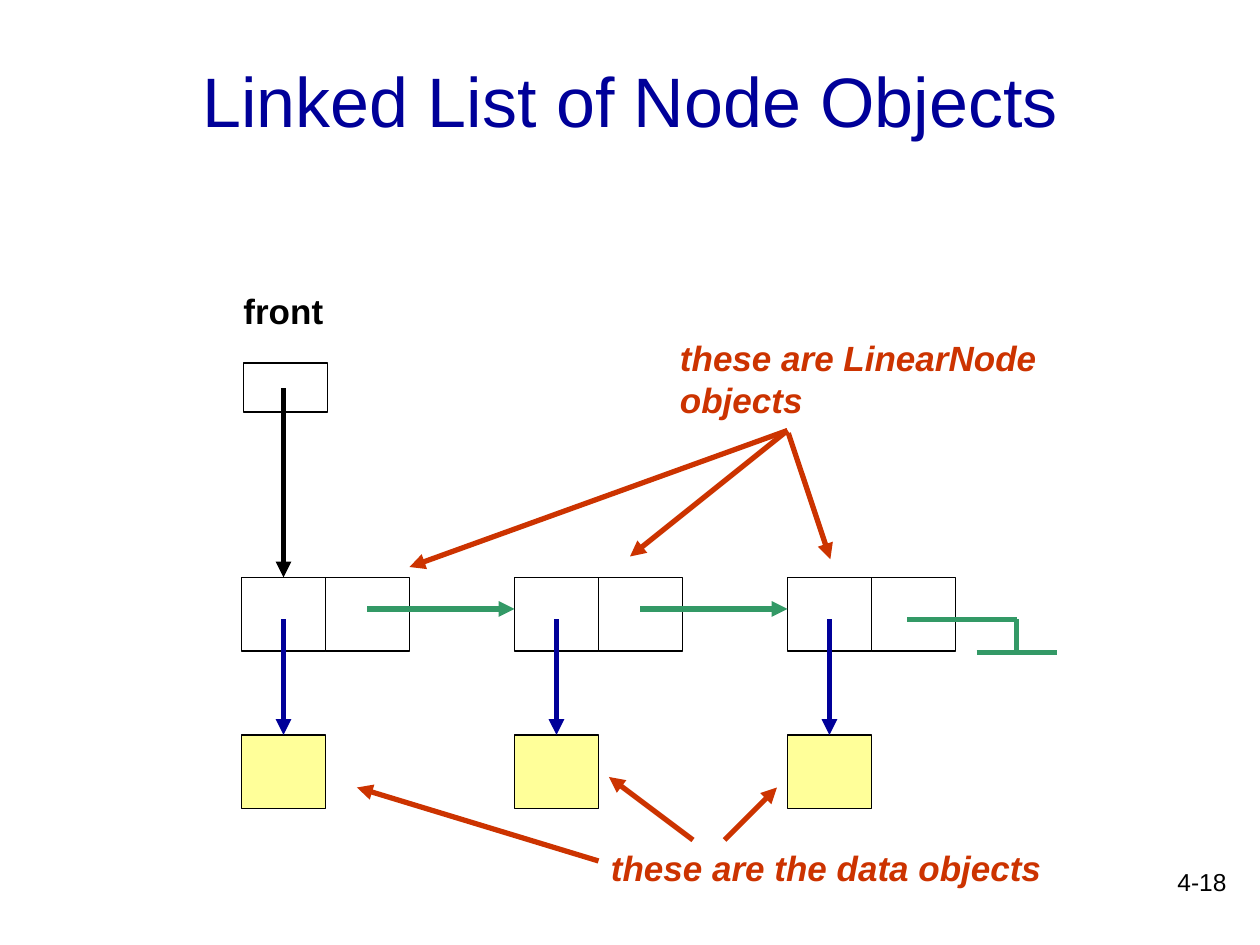
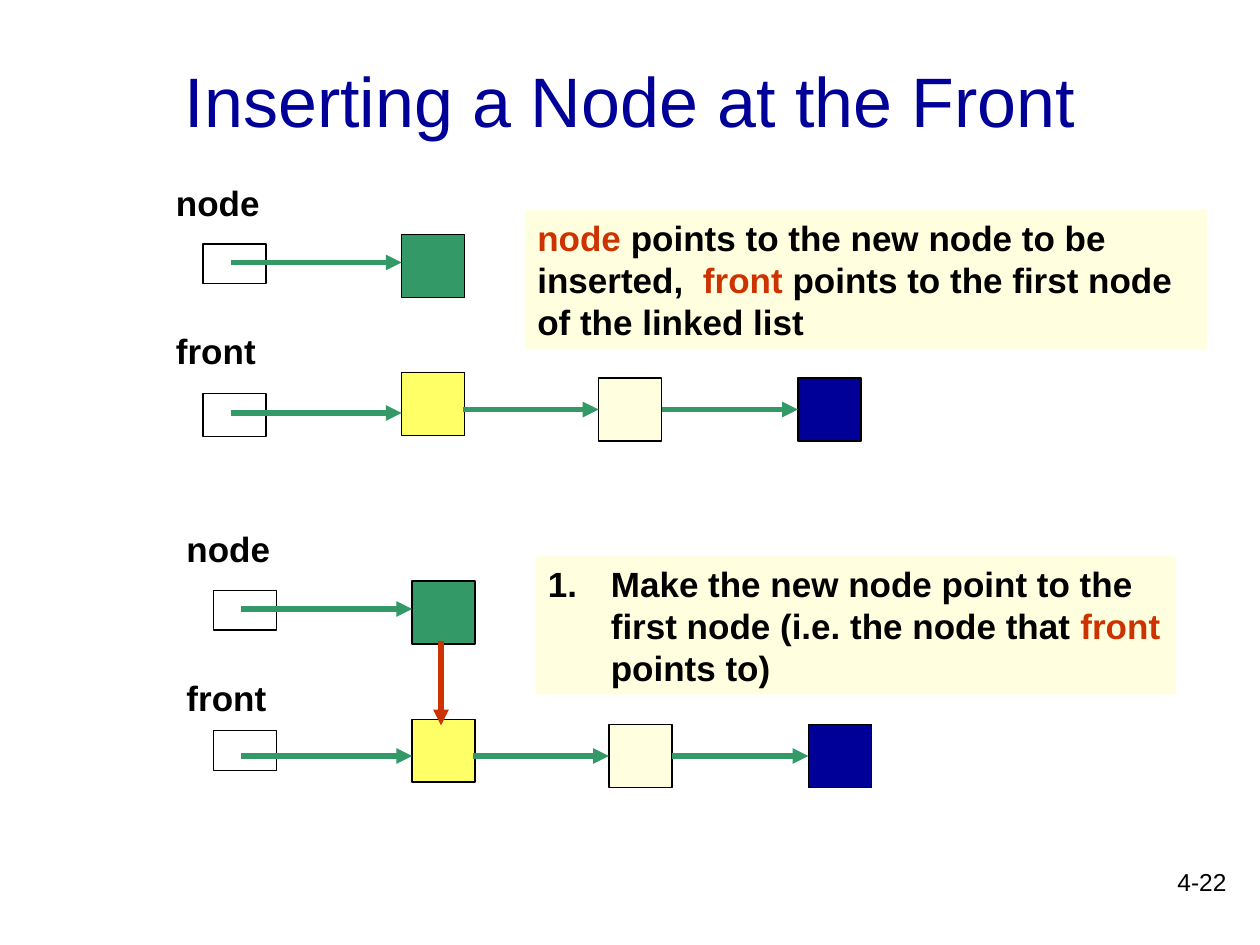
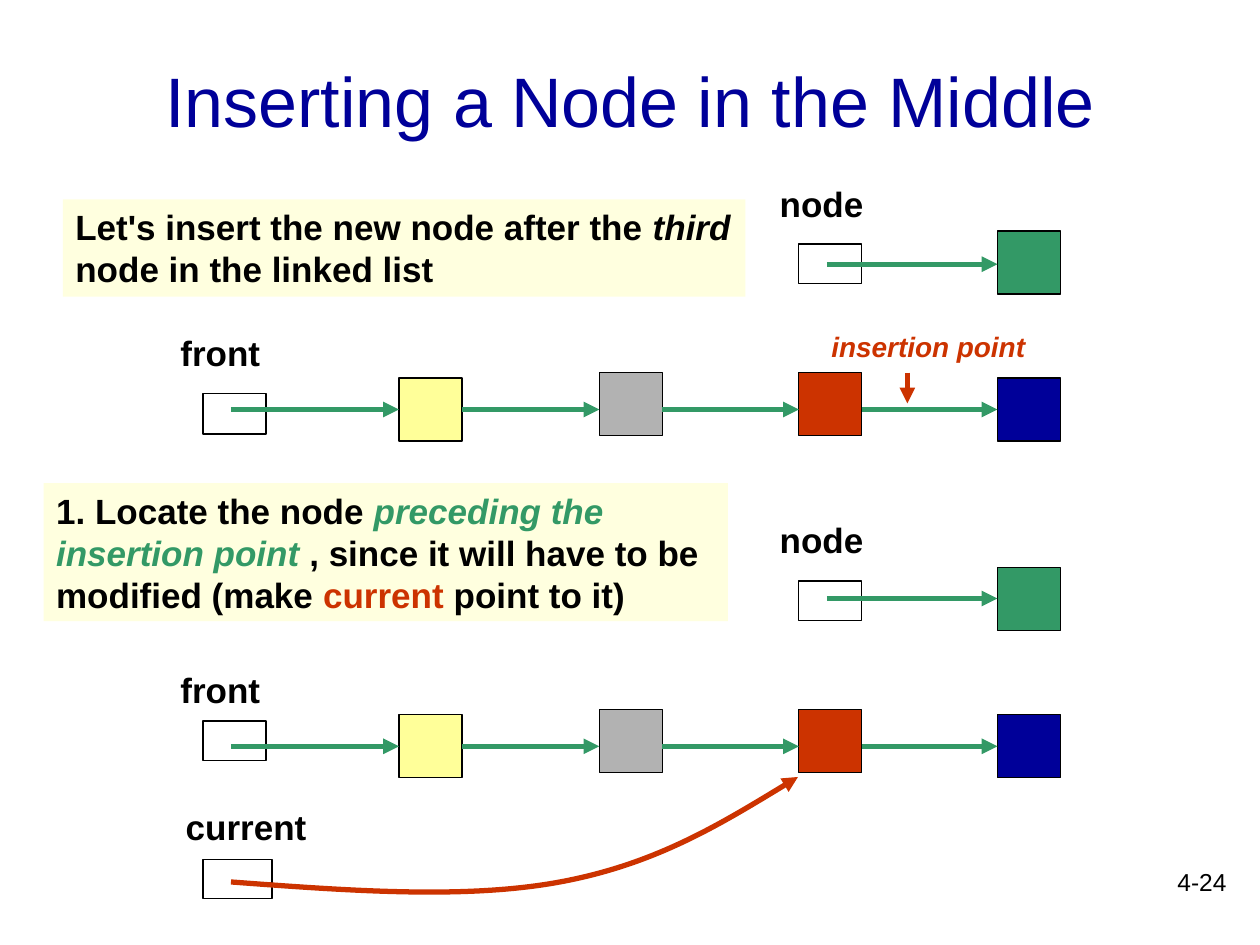
from dataclasses import dataclass
from typing import NamedTuple

from lxml.etree import SubElement
from pptx import Presentation
from pptx.dml.color import RGBColor
from pptx.enum.shapes import MSO_CONNECTOR, MSO_SHAPE
from pptx.enum.text import MSO_ANCHOR, PP_ALIGN
from pptx.oxml.ns import qn
from pptx.util import Pt


@dataclass(frozen=True)
class Theme:
    font: str = "Arial"
    title: float = 40
    body: float = 20
    small: float = 16
    foot: float = 14
    thin: float = 0.75
    thick: float = 3
    gap: float = 12.5
    black: str = "000000"
    navy: str = "000099"
    green: str = "339966"
    red: str = "CC3300"
    cream: str = "FFFFDF"
    lemon: str = "FFFF66"
    pale: str = "FFFF99"
    gray: str = "B2B2B2"


T = Theme()
SIDE = 36  # edge of a square node


class Span(NamedTuple):
    text: str
    color: str = T.black
    slant: bool = False


class Node(NamedTuple):
    x: float
    y: float
    fill: str


class Lane(NamedTuple):
    """A named pointer cell followed by the nodes it leads to."""
    name: str
    left: float   # label
    top: float
    x: float      # pointer cell
    y: float
    high: float
    wire: float   # height of the arrows
    nodes: list[Node]


# Text
def style(run, size: float, color: str, bold=False, slant=False) -> None:
    font = run.font
    font.name, font.size = T.font, Pt(size)
    font.bold, font.italic = bold, slant
    font.color.rgb = RGBColor.from_string(color)


def write(frame, spans: list[Span], size: float = T.body) -> None:
    frame.word_wrap = True
    frame.vertical_anchor = MSO_ANCHOR.TOP
    para = frame.paragraphs[0]
    para.alignment = PP_ALIGN.LEFT
    para.space_before = Pt(T.gap)
    for span in spans:
        run = para.add_run()
        run.text = span.text
        style(run, size, span.color, True, span.slant)


def label(slide, x: float, y: float, w: float, span: Span,
          h: float = 32, size: float = T.body) -> None:
    area = slide.shapes.add_textbox(Pt(x), Pt(y), Pt(w), Pt(h))
    write(area.text_frame, [span], size)


def count(para) -> None:
    """Number a paragraph, with a hanging indent."""
    props = para._p.get_or_add_pPr()
    props.set("marL", str(Pt(36)))
    props.set("indent", str(-Pt(36)))
    tint = SubElement(props, qn("a:buClr"))
    SubElement(tint, qn("a:srgbClr"), val=T.black)
    SubElement(props, qn("a:buFont"), typeface=T.font)
    SubElement(props, qn("a:buAutoNum"), type="arabicPeriod")


# Shapes and lines
def box(slide, x: float, y: float, w: float, h: float,
        fill: str | None = None, edge: bool = True):
    shape = slide.shapes.add_shape(
        MSO_SHAPE.RECTANGLE, Pt(x), Pt(y), Pt(w), Pt(h))
    shape.shadow.inherit = False
    if fill:
        shape.fill.solid()
        shape.fill.fore_color.rgb = RGBColor.from_string(fill)
    else:
        shape.fill.background()
    if edge:
        shape.line.width = Pt(T.thin)
        shape.line.color.rgb = RGBColor.from_string(T.black)
    else:
        shape.line.fill.background()
    return shape


def note(slide, x: float, y: float, w: float, h: float, spans: list[Span]):
    frame = box(slide, x, y, w, h, T.cream, edge=False).text_frame
    write(frame, spans)
    return frame.paragraphs[0]


def stroke(line, color: str, tip: bool = True) -> None:
    line.width = Pt(T.thick)
    line.color.rgb = RGBColor.from_string(color)
    if tip:
        SubElement(line._get_or_add_ln(), qn("a:tailEnd"), type="triangle")


def link(slide, x1: float, y1: float, x2: float, y2: float,
         color: str = T.green, tip: bool = True) -> None:
    wire = slide.shapes.add_connector(
        MSO_CONNECTOR.STRAIGHT, Pt(x1), Pt(y1), Pt(x2), Pt(y2))
    stroke(wire.line, color, tip)
    SubElement(wire._element.spPr, qn("a:effectLst"))


def curve(slide, dots: list[tuple[float, float]], color: str) -> None:
    """Draw Bezier arcs: a start, then three points for each arc."""
    ends = [(Pt(x), Pt(y)) for x, y in dots]
    pen = slide.shapes.build_freeform(*ends[0])
    pen.add_line_segments(ends[1:], close=False)
    shape = pen.convert_to_shape()
    shape.shadow.inherit = False
    shape.fill.background()
    stroke(shape.line, color)
    legs = list(shape._element.iter(qn("a:lnTo")))
    for i in range(0, len(legs), 3):
        trio = legs[i:i + 3]
        arc = SubElement(trio[0].getparent(), qn("a:cubicBezTo"))
        for leg in trio:
            arc.append(leg[0])
            leg.getparent().remove(leg)


def lane(slide, row: Lane) -> None:
    label(slide, row.left, row.top, 72, Span(row.name))
    box(slide, row.x, row.y, SIDE, row.high)
    for node in row.nodes:
        box(slide, node.x, node.y, SIDE, SIDE, node.fill)
    start = row.x + 16
    for node in row.nodes:
        link(slide, start, row.wire, node.x, row.wire)
        start = node.x + SIDE


def page(deck, title: str, number: str):
    slide = deck.slides.add_slide(deck.slide_layouts[5])
    head = slide.shapes.title
    head.left, head.top, head.width, head.height = (
        Pt(54), Pt(12), Pt(612), Pt(90))
    frame = head.text_frame
    frame.text = title
    frame.vertical_anchor = MSO_ANCHOR.MIDDLE
    frame.paragraphs[0].alignment = PP_ALIGN.CENTER
    style(frame.paragraphs[0].runs[0], T.title, T.navy)
    foot = slide.shapes.add_textbox(Pt(558), Pt(492), Pt(150), Pt(36))
    para = foot.text_frame.paragraphs[0]
    foot.text_frame.word_wrap = True
    para.text = number
    para.alignment = PP_ALIGN.RIGHT
    style(para.runs[0], T.foot, T.black)
    return slide


# Slides
def objects(deck) -> None:
    slide = page(deck, "Linked List of Node Objects", "4-18")
    wide, high, step = 48, 42, 156
    cols = [138 + step * i for i in range(3)]
    box(slide, 139, 207.5, wide, 28)
    for x in cols:
        box(slide, x, 420, wide, high, T.pale)
        box(slide, x, 330, wide, high)
        box(slide, x + wide, 330, wide, high)
    link(slide, 162, 222, 162, 330, T.black)
    for x in cols:
        link(slide, x + 24, 354, x + 24, 420, T.navy)
    for x in cols[:-1]:
        link(slide, x + 72, 348, x + step, 348)

    # End of the list
    for ends in ((518.5, 354, 581, 354), (581, 354, 581, 373),
                 (558, 373, 604, 373)):
        link(slide, *ends, tip=False)

    # Labels and their arrows
    label(slide, 132, 162, 84, Span("front"))
    label(slide, 381.5, 188.5, 244,
          Span("these are LinearNode objects", T.red, True), h=55)
    label(slide, 342, 480, 294,
          Span("these are the data objects", T.red, True))
    for ends in ((450, 246, 234, 324), (450, 246, 360, 318),
                 (450.5, 247.5, 474.5, 319.5), (414, 480, 444, 450),
                 (396, 480, 348, 444), (342, 492, 204, 450)):
        link(slide, *ends, T.red)


def front(deck) -> None:
    slide = page(deck, "Inserting a Node at the Front", "4-22")
    # Before and after: shift, front cell top and height, arrow height
    for dx, dy, top, high, wire in ((0, 0, 225, 24.5, 236),
                                    (6, 198, 417.5, 23, 432)):
        lane(slide, Lane("node", 93.5 + dx, 100 + dy, 116 + dx, 139.5 + dy,
                         22.5, 150 + dy,
                         [Node(229.5 + dx, 134 + dy, T.green)]))
        # The first arrow may sit lower than the rest
        lane(slide, Lane("front", 93.5 + dx, 185 + dy, 116 + dx, top, high,
                         wire, [Node(229.5 + dx, 213 + dy, T.lemon)]))
        for x, gap, fill in ((342, 77.5, T.cream), (456, 78, T.navy)):
            box(slide, x + dx, 216 + dy, SIDE, SIDE, fill)
            link(slide, x + dx - gap, 234 + dy, x + dx, 234 + dy)
    note(slide, 300, 120, 390, 79.5, [
        Span("node", T.red),
        Span(" points to the new node to be inserted,  "),
        Span("front", T.red),
        Span(" points to the first node of the linked list")])
    count(note(slide, 306, 318, 366, 79, [
        Span("Make the new node point to the first node "
             "(i.e. the node that "),
        Span("front ", T.red), Span("points to)")]))
    link(slide, 252, 366.5, 252, 414.5, T.red)


def middle(deck) -> None:
    slide = page(deck, "Inserting a Node in the Middle", "4-24")
    # Before and after: shift, front cell top and height, node arrow height
    for dy, top, high, wire in ((0, 225, 23, 151), (192.5, 412, 22.5, 342)):
        lane(slide, Lane("node", 438.5, 100.5 + dy, 456.5, 139.5 + dy, 22.5,
                         wire, [Node(570, 132 + dy, T.green)]))
        lane(slide, Lane("front", 96, 186 + dy, 116, top, high, 234 + dy, [
            Node(228, 216 + dy, T.pale), Node(342.5, 213 + dy, T.gray),
            Node(456.5, 213 + dy, T.red), Node(570, 216 + dy, T.navy)]))
    note(slide, 36, 114, 390, 55.5, [
        Span("Let's insert the new node after the "),
        Span("third ", slant=True), Span("node in the linked list")])
    note(slide, 25, 276, 391, 79, [
        Span("1. Locate the node "),
        Span("preceding the insertion point", T.green, True),
        Span(" , since it will have to be modified (make "),
        Span("current ", T.red), Span("point to it)")])

    # Current pointer
    box(slide, 116, 491, 39.5, 22.5)
    label(slide, 99, 457, 96, Span("current"))
    curve(slide, [(132, 504), (199, 509), (266, 514), (320, 504),
                  (374, 494), (415, 469), (456, 444)], T.red)

    # Insertion point
    link(slide, 518.5, 213, 518.5, 230.5, T.red)
    label(slide, 468, 185, 153.5, Span("insertion point", T.red, True),
          h=26.5, size=T.small)


def main() -> None:
    deck = Presentation()
    deck.slide_width, deck.slide_height = Pt(720), Pt(540)
    for build in (objects, front, middle):
        build(deck)
    deck.save("out.pptx")


if __name__ == "__main__":
    main()
